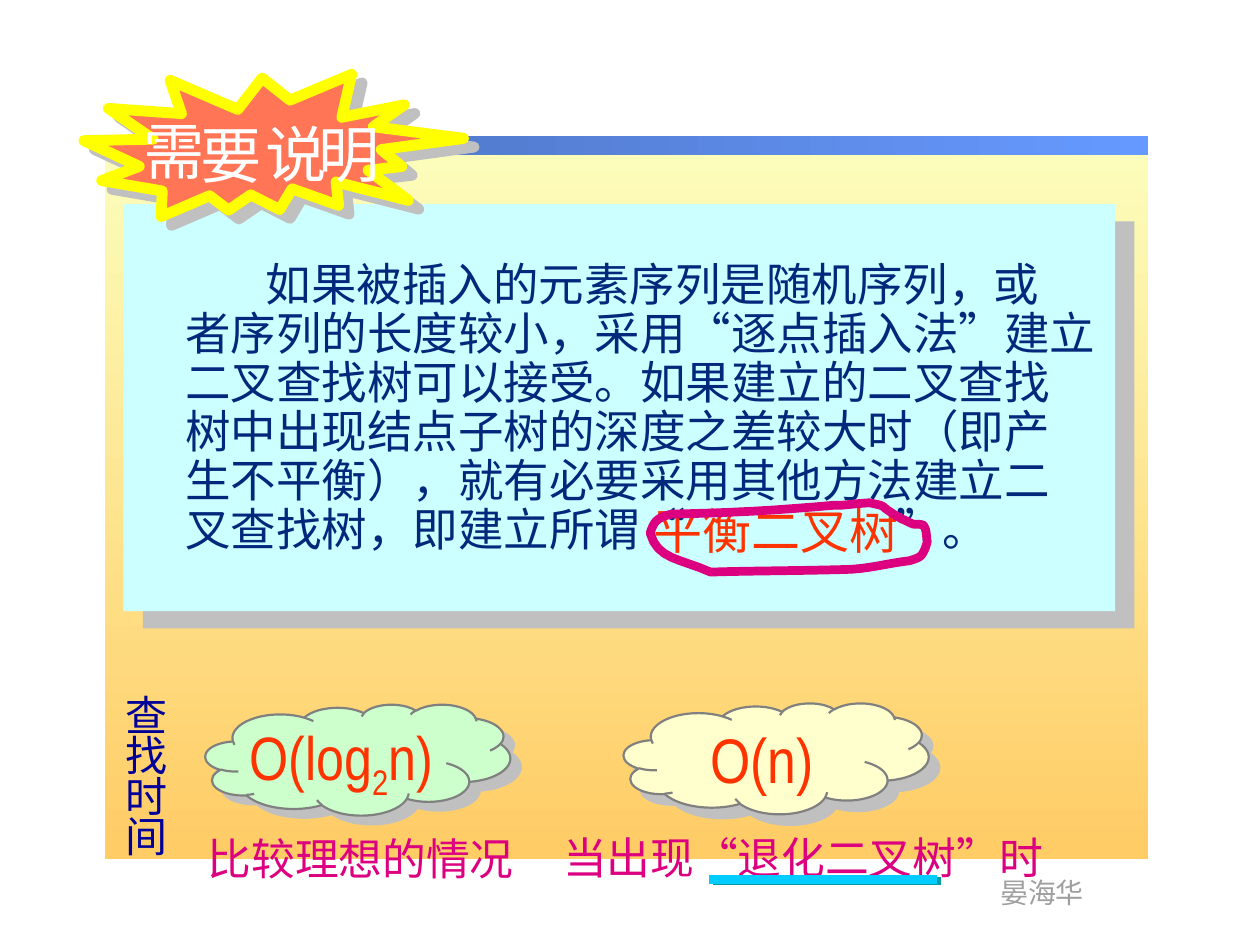
"""Builds a slide on when a balanced binary search tree is needed."""
import pptx
import pptx.dml.color
import pptx.enum.shapes
import pptx.oxml
import pptx.oxml.ns
import pptx.util

Inches, Pt = pptx.util.Inches, pptx.util.Pt
SHAPE = pptx.enum.shapes.MSO_SHAPE

THEME = {
    "font": "Arial Narrow",
    "sky": ("FCFEBC", "FFCC66"), "bar": ("496DB6", "6699FF"),
    "panel": "CCFFFF", "body": "00297C", "key": "FF3300", "note": "DC0081",
    "side": "000099", "name": "9F9F9F", "head": "FFFFFF",
    "seal": "FF7555", "edge": "FFFF00", "rim": "808080",
    "green": "CCFFCC", "cream": "FFFFCD", "rule": "00CCFF",
    "shade": "C0C0C0", "teal": "009EA1", "dark": "000000",
    "small": 16, "label": 24, "case": 25, "text": 26, "term": 28, "cost": 35, "big": 36,
}

BODY = [
    "如果被插入的元素序列是随机序列，或",
    "者序列的长度较小，采用“逐点插入法”建立",
    "二叉查找树可以接受。如果建立的二叉查找",
    "树中出现结点子树的深度之差较大时（即产",
    "生不平衡），就有必要采用其他方法建立二",
    "叉查找树，即建立所谓“\t”。",
]
HEAD = [("需", 1.04, 0.85), ("要", 1.49, 0.88), ("说", 2.01, 0.87), ("明", 2.43, 0.87)]
CLOUDS = [
    ((1.63, 5.59, 2.42, 0.88), "green", 7.8, 40),
    ((4.95, 5.58, 2.42, 0.88), "cream", 8.5, 45),
]
CASES = [
    ("比较理想的情况", (1.55, 6.55, 2.67, 0.52)),
    ("当出现“退化二叉树”时", (4.37, 6.54, 4.49, 0.52)),
]
RING = [
    (6.62, 4.01), (6.16, 4.05), (5.83, 4.07), (5.33, 4.08),
    (5.2, 4.11), (5.19, 4.15), (5.16, 4.23),
    (5.22, 4.44), (5.39, 4.43), (5.64, 4.54),
    (6, 4.53), (6.35, 4.53), (6.7, 4.52),
    (6.87, 4.52), (7.05, 4.47), (7.22, 4.45),
    (7.25, 4.44), (7.29, 4.43), (7.31, 4.41),
    (7.34, 4.38), (7.36, 4.3), (7.36, 4.3),
    (7.35, 4.26), (7.36, 4.21), (7.33, 4.17),
    (7.32, 4.16), (7.28, 4.16), (7.25, 4.16),
    (7.22, 4.15), (7.19, 4.13), (7.16, 4.12),
    (6.93, 3.99), (7.08, 4.03), (6.9, 3.99),
    (6.64, 4.01), (6.73, 4.01), (6.62, 4.01),
]


def tint(name):
    return pptx.dml.color.RGBColor.from_string(THEME[name])


def cast(name, dist, angle):
    return pptx.oxml.parse_xml(
        f'<a:effectLst {pptx.oxml.ns.nsdecls("a")}>'
        f'<a:outerShdw blurRad="0" dist="{Pt(dist)}" dir="{angle * 60000}" algn="ctr" rotWithShape="0">'
        f'<a:srgbClr val="{THEME[name]}"/></a:outerShdw></a:effectLst>')


def add_shape(slide, kind, box, fill, line=None, width=0, shade=None):
    shape = slide.shapes.add_shape(kind, *map(Inches, box))
    shape.shadow.inherit = False
    if isinstance(THEME[fill], tuple):
        shape.fill.gradient()
        for stop, code in zip(shape.fill.gradient_stops, THEME[fill]):
            stop.color.rgb = pptx.dml.color.RGBColor.from_string(code)
    else:
        shape.fill.solid()
        shape.fill.fore_color.rgb = tint(fill)
    if line:
        shape.line.color.rgb = tint(line)
        shape.line.width = Pt(width)
    else:
        shape.line.fill.background()
    if shade:
        props = shape._element.spPr
        props.replace(props.find(pptx.oxml.ns.qn("a:effectLst")), cast("shade", *shade))
    return shape


def style(run, color, size, shade):
    font = run.font
    font.size, font.name = Pt(THEME[size]), THEME["font"]
    font.color.rgb = tint(color)
    if shade:
        fill = run._r.rPr.find(pptx.oxml.ns.qn("a:solidFill"))
        fill.addnext(cast("dark", 1.5, 45))


def add_text(slide, lines, box, color, size, wrap=True, space=None, shade=False):
    frame = slide.shapes.add_textbox(*map(Inches, box)).text_frame
    frame.word_wrap = wrap
    frame.text = "\n".join(lines)
    for para in frame.paragraphs:
        if space:
            para.line_spacing = space
        for run in para.runs:
            style(run, color, size, shade)
    return frame


def trace(points, steps=8):
    for i in range(0, len(points) - 1, 3):
        for k in range(1, steps + 1):
            t = k / steps
            parts = ((1 - t) ** 3, 3 * t * (1 - t) ** 2, 3 * t * t * (1 - t), t ** 3)
            yield tuple(
                Inches(sum(p * point[axis] for p, point in zip(parts, points[i:i + 4])))
                for axis in (0, 1))


def add_back(slide):
    add_shape(slide, SHAPE.RECTANGLE, (0.83, 1.1, 8.28, 5.72), "sky").fill.gradient_angle = 270
    add_shape(slide, SHAPE.RECTANGLE, (0.84, 1.08, 8.27, 0.15), "bar").fill.gradient_angle = 0
    add_text(slide, ["晏海华"], (7.84, 6.9, 0.87, 0.37), "name", "small", wrap=False)


def add_costs(slide):
    for box, fill, dist, angle in CLOUDS:
        add_shape(slide, SHAPE.CLOUD, box, fill, "rim", 1.25, (dist, angle))
    para = add_text(slide, ["Ο(log"], (1.88, 5.66, 1.93, 0.68), "key", "cost",
                    wrap=False, shade=True).paragraphs[0]
    for part in ("2", "n)"):
        run = para.add_run()
        run.text = part
        style(run, "key", "cost", True)
    para.runs[1]._r.rPr.set("baseline", "-25000")
    add_text(slide, ["Ο(n)"], (5.54, 5.67, 1.42, 0.7), "key", "big", shade=True)
    for text, box in CASES:
        add_text(slide, [text], box, "note", "case")
    add_text(slide, "查找时间", (0.9, 5.5, 0.54, 1.39), "side", "label", wrap=False, space=0.8)


def add_panel(slide):
    add_shape(slide, SHAPE.RECTANGLE, (0.98, 1.62, 7.87, 3.23), "panel", shade=(14.9, 42))
    frame = add_text(slide, BODY, (1.37, 2.03, 7.92, 2.44), "body", "text", space=0.9)
    first, last = frame.paragraphs[0], frame.paragraphs[-1]
    first._p.get_or_add_pPr().set("indent", str(Inches(0.64)))
    last._p.get_or_add_pPr().append(pptx.oxml.parse_xml(
        f'<a:tabLst {pptx.oxml.ns.nsdecls("a")}><a:tab pos="{Inches(5.65)}" algn="l"/></a:tabLst>'))
    add_text(slide, ["平衡二叉树"], (5.09, 3.92, 3, 0.57), "key", "term", shade=True)


def add_rule(slide):
    ends = map(Inches, (5.63, 6.98, 7.44, 6.98))
    rule = slide.shapes.add_connector(pptx.enum.shapes.MSO_CONNECTOR.STRAIGHT, *ends)
    rule.line.color.rgb = tint("rule")
    rule.line.width = Pt(4.75)
    rule._element.spPr.append(cast("teal", 2.2, 27))


def add_head(slide):
    seal = add_shape(slide, SHAPE.EXPLOSION2, (0.67, 0.52, 2.99, 1.3), "seal", "edge", 6.25, (7.8, 40))
    seal.rotation = 6.8
    for text, left, top in HEAD:
        add_text(slide, [text], (left, top, 0.69, 0.68), "head", "cost", wrap=False, shade=True)


def add_ring(slide):
    pen = slide.shapes.build_freeform(*map(Inches, RING[0]))
    pen.add_line_segments(list(trace(RING)), close=True)
    ring = pen.convert_to_shape()
    ring.shadow.inherit = False
    ring.fill.background()
    ring.line.color.rgb = tint("note")
    ring.line.width = Pt(5)


def main():
    deck = pptx.Presentation()
    deck.slide_width, deck.slide_height = Inches(10), Inches(7.5)
    slide = deck.slides.add_slide(deck.slide_layouts[6])
    for build in (add_back, add_costs, add_panel, add_rule, add_head, add_ring):
        build(slide)
    deck.save("out.pptx")


if __name__ == "__main__":
    main()
